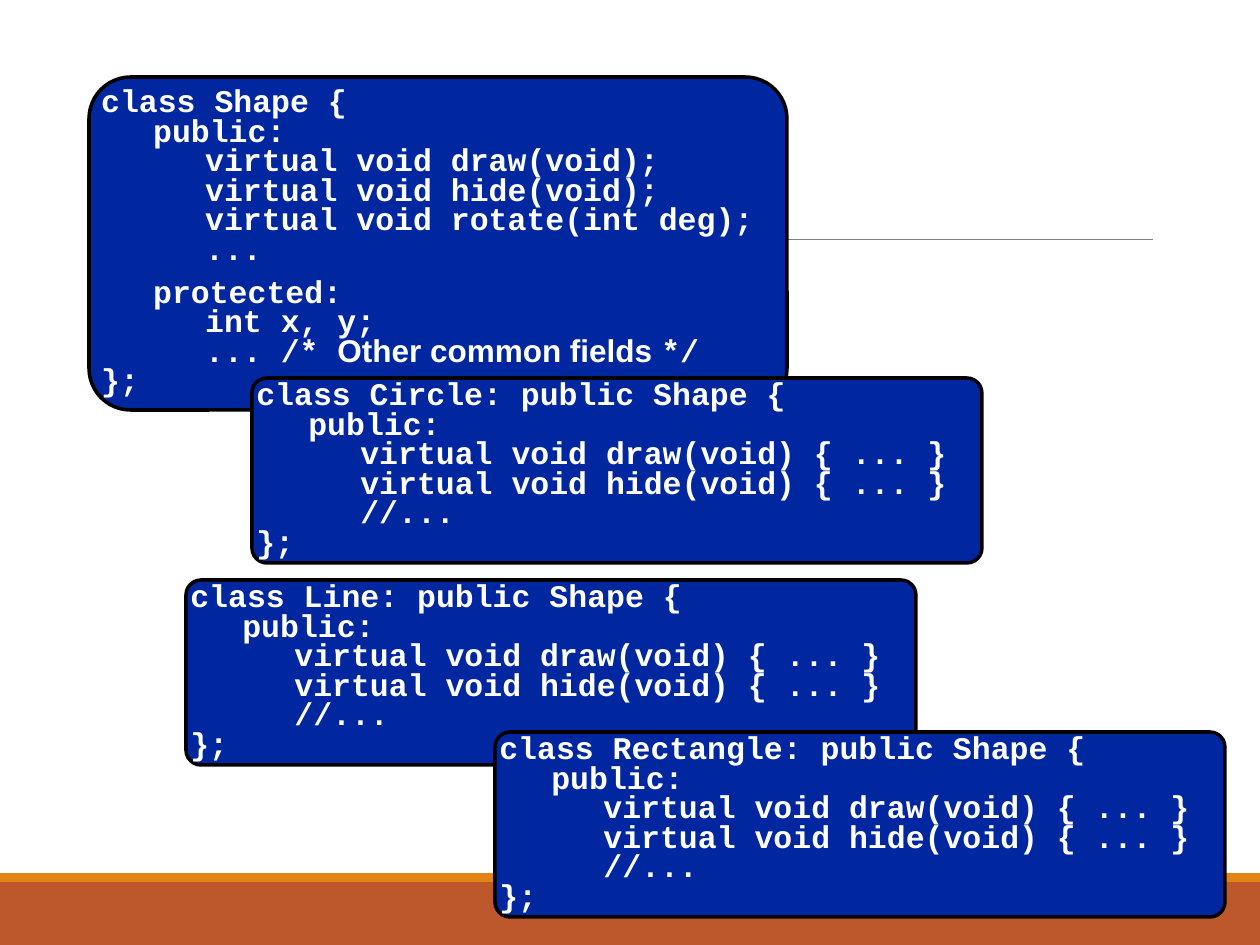
"""Builds a slide of C++ class declarations deriving from Shape."""
from lxml import etree
from pptx import Presentation
from pptx.dml.color import RGBColor
from pptx.enum.shapes import MSO_CONNECTOR, MSO_SHAPE
from pptx.enum.text import MSO_ANCHOR, PP_ALIGN
from pptx.oxml.ns import qn
from pptx.util import Pt

PX = 914400 / 126
RECT, ROUND = MSO_SHAPE.RECTANGLE, MSO_SHAPE.ROUNDED_RECTANGLE
STRAIGHT = MSO_CONNECTOR.STRAIGHT
TOP, LEFT = MSO_ANCHOR.TOP, PP_ALIGN.LEFT
TABS = (52, 104)
CODE, PROSE = "Courier New", "Arial"


def color(value):
    return RGBColor.from_string(value)


def add_box(kind, box, fill):
    sp = s.shapes.add_shape(kind, *(round(v * PX) for v in box))
    sp.shadow.inherit = False
    sp.fill.solid()
    sp.fill.fore_color.rgb = color(fill)
    sp.line.fill.background()
    return sp


prs = Presentation()
prs.slide_width, prs.slide_height = round(1260 * PX), round(945 * PX)
s = prs.slides.add_slide(prs.slide_layouts[6])

add_box(RECT, (0, 882, 1260, 63), "BD582C")
add_box(RECT, (0, 873, 1260, 9), "E48312")
rule = s.shapes.add_connector(STRAIGHT, *(round(v * PX) for v in (123, 239, 1153, 239)))
rule.line.color.rgb = color("808080")
rule.line.width = Pt(0.5)
etree.SubElement(rule._element.spPr, qn("a:effectLst"))

base = [
    [("class Shape {\n\tpublic:\n\t\tvirtual void draw(void);\n\t\tvirtual void hide(void);\n"
      "\t\tvirtual void rotate(int deg);\n\t\t...", CODE)],
    [("\tprotected:\n\t\tint x, y;\n\t\t... /* ", CODE),
     ("Other common fields ", PROSE),
     ("*/\n};", CODE)],
]
classes = [((89, 77, 698, 333), 0.125, base)]
for name, x, y in (("Circle", 252, 378), ("Line", 186, 580), ("Rectangle", 495, 732)):
    code = (f"class {name}: public Shape {{\n\tpublic:\n"
            "\t\tvirtual void draw(void) { ... }\n\t\tvirtual void hide(void) { ... }\n"
            "\t\t//...\n};")
    classes.append(((x, y, 730, 185), 0.081, [[(code, CODE)]]))

frame = {"margin_left": 0, "margin_top": 0, "margin_right": 0, "margin_bottom": 0,
         "word_wrap": True, "vertical_anchor": TOP}
for box, radius, paragraphs in classes:
    sp = add_box(ROUND, box, "00279F")
    sp.adjustments[0] = radius
    sp.line.color.rgb = color("000000")
    sp.line.width = Pt(2)
    tf = sp.text_frame
    for key, value in frame.items():
        setattr(tf, key, value)
    for i, runs in enumerate(paragraphs):
        p = tf.add_paragraph() if i else tf.paragraphs[0]
        p.alignment = LEFT
        p.line_spacing = 0.78
        p.space_before = Pt(7.9 if i else 0)
        tabs = etree.SubElement(p._p.get_or_add_pPr(), qn("a:tabLst"))
        for stop in TABS:
            etree.SubElement(tabs, qn("a:tab"), pos=str(round(stop * PX)), algn="l")
        for text, font in runs:
            for n, line in enumerate(text.split("\n")):
                if n:
                    p.add_line_break()
                r = p.add_run()
                r.text = line
                for key, value in {"name": font, "size": Pt(18), "bold": True}.items():
                    setattr(r.font, key, value)
                r.font.color.rgb = color("FFFFFF")

prs.save("out.pptx")
